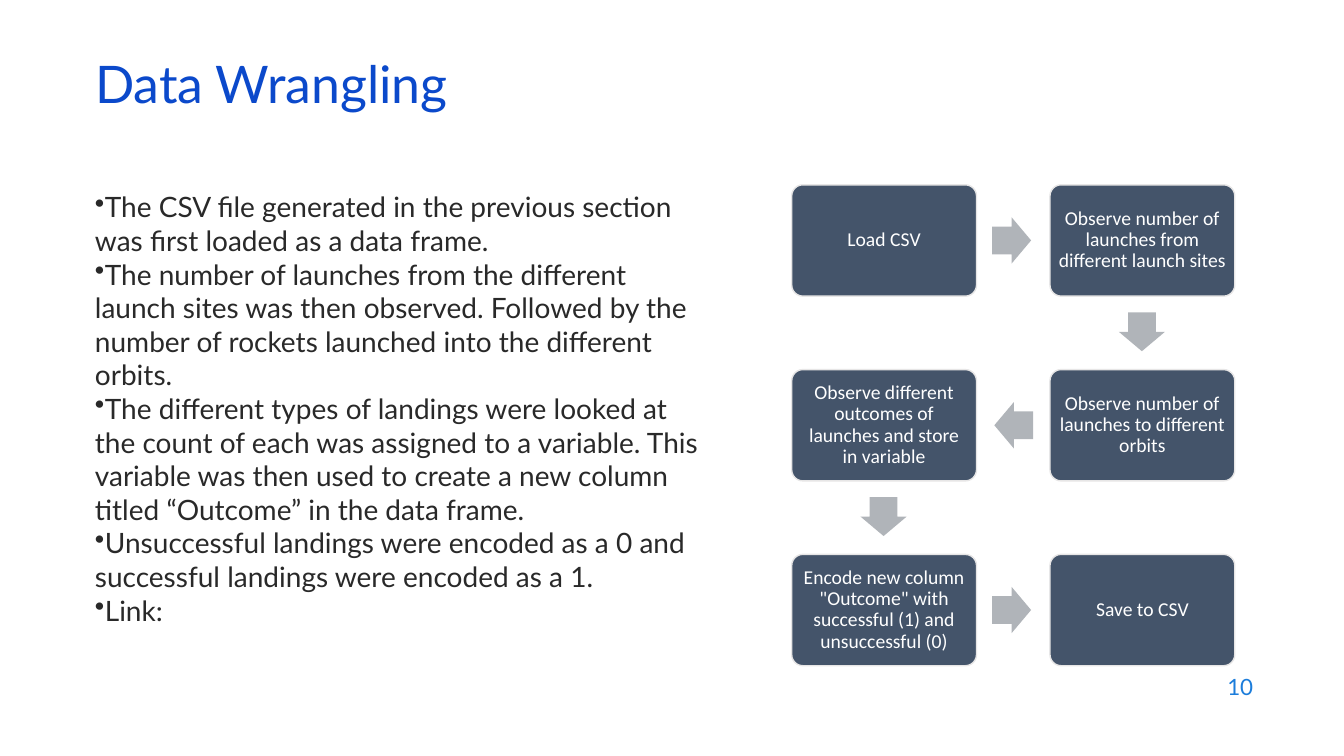
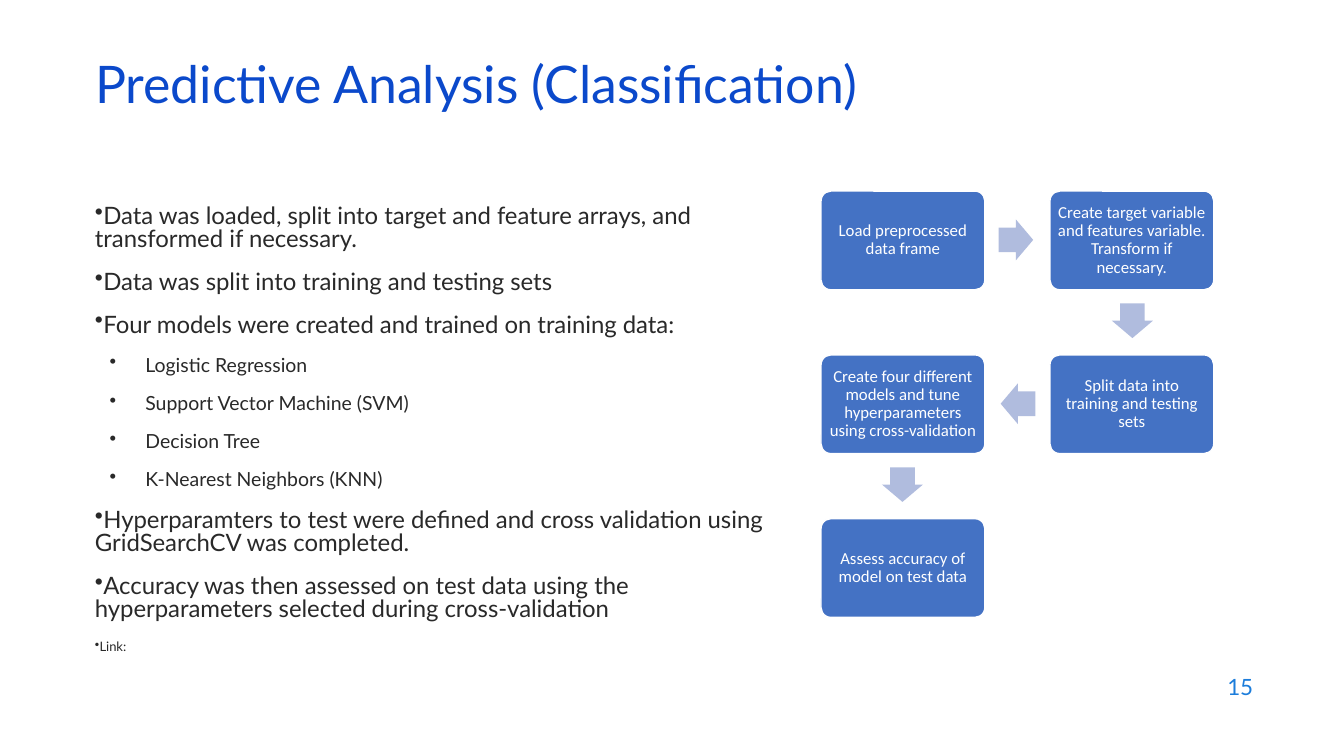
from dataclasses import dataclass

from lxml.etree import SubElement
from pptx import Presentation
from pptx.dml.color import RGBColor
from pptx.enum.shapes import MSO_SHAPE
from pptx.enum.text import MSO_ANCHOR, MSO_AUTO_SIZE, PP_ALIGN
from pptx.oxml.ns import qn
from pptx.util import Pt


@dataclass(frozen=True)
class Theme:
    """Colours, fonts and type sizes shared by the slides."""
    text_font: str = "Lato"
    flow_font: str = "Calibri"
    title: str = "0B49CB"
    body: str = "292929"
    number: str = "1C7DDB"
    flow_text: str = "FFFFFF"
    title_size: float = 37
    number_size: float = 16


@dataclass(frozen=True)
class FlowStyle:
    """Look of one flow chart."""
    fill: str
    line: str
    arrow: str
    size: float
    inset: int


@dataclass(frozen=True)
class BodyStyle:
    """Type sizes and spacing of one bullet list."""
    size: float
    sub_size: float
    link_size: float
    line: float
    before: float


THEME = Theme()
SLATE = FlowStyle("44546A", "E7E6E6", "B0B4B9", 14, 5)
BLUE = FlowStyle("4472C4", "FFFFFF", "B0BCDE", 12, 4)
ROOMY = BodyStyle(20, 20, 20, 1.0, 0)
COMPACT = BodyStyle(17.1, 13.9, 9.3, 0.8, 14)
TITLE_BOX = (81, 57, 1104, 58)
NUMBER_BOX = (915, 633, 288, 42)
EMU_PER_PX = 9525

SLIDES = [
    dict(
        title="Data Wrangling", number="10",
        body_box=(81, 176, 603, 457), body_style=ROOMY,
        bullets=[
            (0, "The CSV file generated in the previous section was first loaded as a data frame."),
            (0, "The number of launches from the different launch sites was then observed. "
                "Followed by the number of rockets launched into the different orbits."),
            (0, "The different types of landings were looked at the count of each was assigned "
                "to a variable. This variable was then used to create a new column titled "
                "“Outcome” in the data frame."),
            (0, "Unsuccessful landings were encoded as a 0 and successful landings were "
                "encoded as a 1."),
            (0, "Link:"),
        ],
        flow_box=(754, 176, 422), flow_style=SLATE,
        steps=[
            "Load CSV",
            "Observe number of launches from different launch sites",
            "Observe number of launches to different orbits",
            "Observe different outcomes of launches and store in variable",
            'Encode new column "Outcome" with successful (1) and unsuccessful (0)',
            "Save to CSV",
        ],
    ),
    dict(
        title="Predictive Analysis (Classification)", number="15",
        body_box=(81, 192, 670, 457), body_style=COMPACT,
        bullets=[
            (0, "Data was loaded, split into target and feature arrays, and transformed if necessary."),
            (0, "Data was split into training and testing sets"),
            (0, "Four models were created and trained on training data:"),
            (1, "Logistic Regression"),
            (1, "Support Vector Machine (SVM)"),
            (1, "Decision Tree"),
            (1, "K-Nearest Neighbors (KNN)"),
            (0, "Hyperparamters to test were defined and cross validation using GridSearchCV "
                "was completed."),
            (0, "Accuracy was then assessed on test data using the hyperparameters selected "
                "during cross-validation"),
            (0, "Link:"),
        ],
        flow_box=(782, 182, 374), flow_style=BLUE,
        steps=[
            "Load preprocessed data frame",
            "Create target variable and features variable. Transform if necessary.",
            "Split data into training and testing sets",
            "Create four different models and tune hyperparameters using cross-validation",
            "Assess accuracy of model on test data",
        ],
    ),
]


def px(*values):
    """Turn px lengths into EMU."""
    return [round(v) * EMU_PER_PX for v in values]


def add_run(p, text, font, size, color):
    """Append one formatted run to a paragraph."""
    r = p.add_run()
    r.text = text
    r.font.name = font
    r.font.size = Pt(size)
    r.font.color.rgb = RGBColor.from_string(color)


def add_title(s, text, box):
    """Move and fill the title placeholder."""
    sp = s.shapes.title
    sp.left, sp.top, sp.width, sp.height = px(*box)
    tf = sp.text_frame
    tf.auto_size = MSO_AUTO_SIZE.NONE
    tf.vertical_anchor = MSO_ANCHOR.MIDDLE
    p = tf.paragraphs[0]
    p.alignment = PP_ALIGN.LEFT
    p.line_spacing = 0.7
    add_run(p, text, THEME.text_font, THEME.title_size, THEME.title)


def add_text_box(s, box):
    """Add a wrapping text box and return its frame."""
    tf = s.shapes.add_textbox(*px(*box)).text_frame
    tf.word_wrap = True
    return tf


def add_number(s, text, box):
    """Place the slide number at the lower right."""
    tf = add_text_box(s, box)
    tf.vertical_anchor = MSO_ANCHOR.MIDDLE
    p = tf.paragraphs[0]
    p.alignment = PP_ALIGN.RIGHT
    add_run(p, text, THEME.text_font, THEME.number_size, THEME.number)


def set_bullet(p, level):
    """Give a paragraph its bullet and indents."""
    p.level = level
    margin, indent = px(48, -34) if level else (0, 0)
    pPr = p._p.get_or_add_pPr()
    pPr.set("marL", str(margin))
    pPr.set("indent", str(indent))
    SubElement(pPr, qn("a:buChar")).set("char", "•")


def add_bullets(s, bullets, box, style):
    """Fill a box with a two-level bullet list."""
    tf = add_text_box(s, box)
    for i, (level, text) in enumerate(bullets):
        p = tf.add_paragraph() if i else tf.paragraphs[0]
        set_bullet(p, level)
        p.line_spacing = style.line
        p.space_before = Pt(style.before if i else 0)
        size = style.sub_size if level else style.size
        if text == "Link:":
            size = style.link_size
        add_run(p, text, THEME.text_font, size, THEME.body)


def add_filled(s, kind, box, fill):
    """Add a flat preset shape without outline."""
    sp = s.shapes.add_shape(kind, *px(*box))
    sp.shadow.inherit = False
    sp.fill.solid()
    sp.fill.fore_color.rgb = RGBColor.from_string(fill)
    sp.line.fill.background()
    return sp


def add_step(s, text, box, style):
    """Add one rounded step with centred text."""
    sp = add_filled(s, MSO_SHAPE.ROUNDED_RECTANGLE, box, style.fill)
    sp.adjustments[0] = 0.1
    sp.line.color.rgb = RGBColor.from_string(style.line)
    sp.line.width = Pt(1)
    tf = sp.text_frame
    tf.word_wrap = True
    tf.vertical_anchor = MSO_ANCHOR.MIDDLE
    inset, = px(style.inset)
    tf.margin_left = tf.margin_right = tf.margin_top = tf.margin_bottom = inset
    p = tf.paragraphs[0]
    p.alignment = PP_ALIGN.CENTER
    p.line_spacing = 0.9
    add_run(p, text, THEME.flow_font, style.size, THEME.flow_text)


def add_arrow(s, start, end, step_w, style):
    """Add a block arrow midway between two step centres."""
    dx = (end[0] > start[0]) - (end[0] < start[0])
    dy = (end[1] > start[1]) - (end[1] < start[1])
    w, h = 0.212 * step_w, 0.248 * step_w
    x = (start[0] + end[0] - w) / 2 - dx
    y = (start[1] + end[1] - h) / 2 - dy
    sp = add_filled(s, MSO_SHAPE.RIGHT_ARROW, (x, y, w, h), style.arrow)
    sp.adjustments[0] = 0.6
    sp.adjustments[1] = 0.5
    sp.rotation = 90 if dy else 90 * (1 - dx)


def add_flow(s, steps, box, style):
    """Lay steps out in a two-column snake across the box width."""
    left, top, width = box
    w = width / 2.4
    h = 0.6 * w
    centres = []
    for i, text in enumerate(steps):
        row, col = divmod(i, 2)
        if row % 2:
            col = 1 - col
        x, y = left + 1.4 * w * col, top + w * row
        add_step(s, text, (x, y, w, h), style)
        centres.append((x + w / 2, y + h / 2))
    for start, end in zip(centres, centres[1:]):
        add_arrow(s, start, end, w, style)


def add_process_slide(prs, title, number, body_box, body_style, bullets,
                      flow_box, flow_style, steps):
    """Add a slide with a title, a bullet list and a flow chart."""
    s = prs.slides.add_slide(prs.slide_layouts.get_by_name("Title Only"))
    add_title(s, title, TITLE_BOX)
    add_bullets(s, bullets, body_box, body_style)
    add_flow(s, steps, flow_box, flow_style)
    add_number(s, number, NUMBER_BOX)


def main():
    """Build and save the presentation."""
    prs = Presentation()
    prs.slide_width, prs.slide_height = px(1280, 720)
    for content in SLIDES:
        add_process_slide(prs, **content)
    prs.save("out.pptx")


if __name__ == "__main__":
    main()
